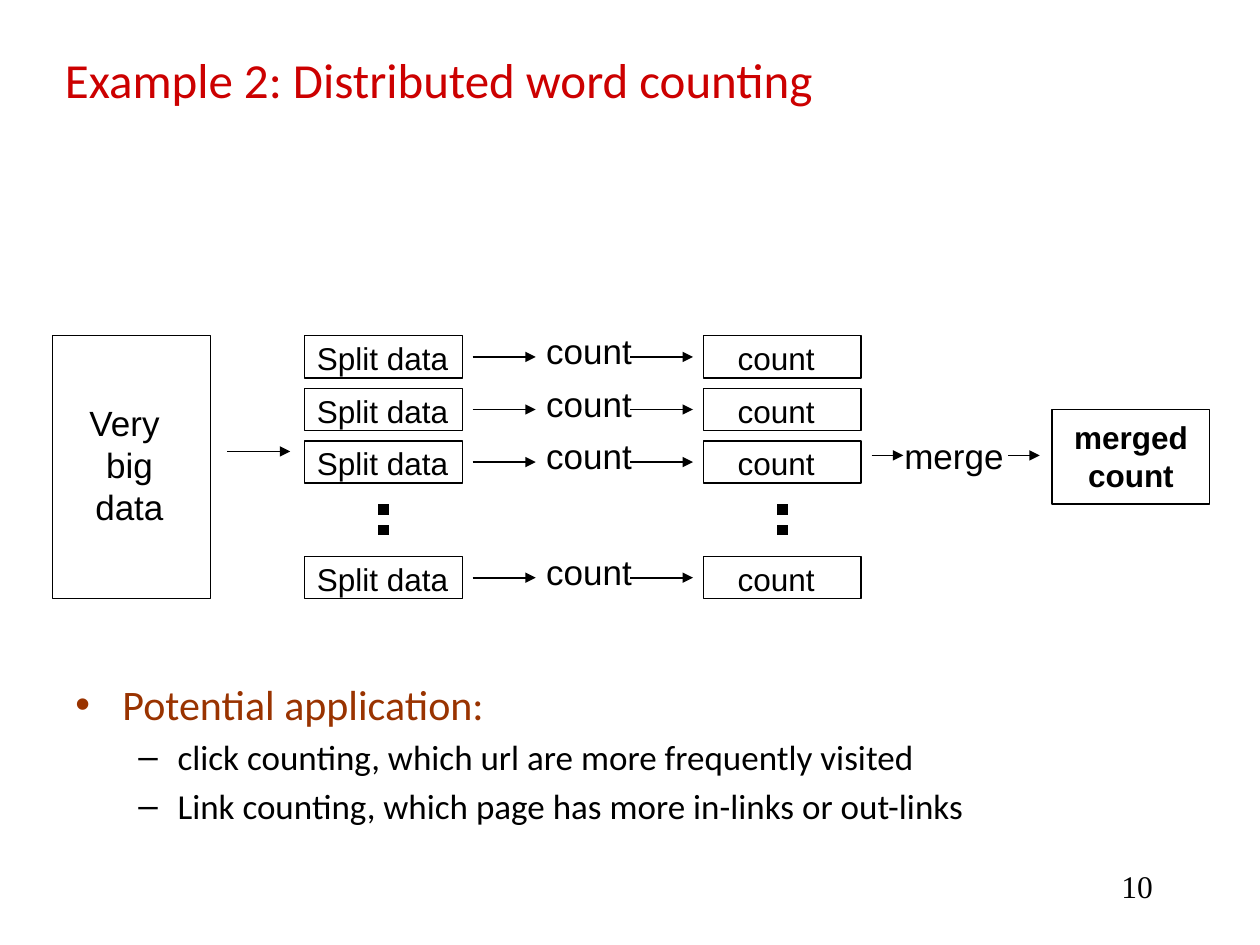
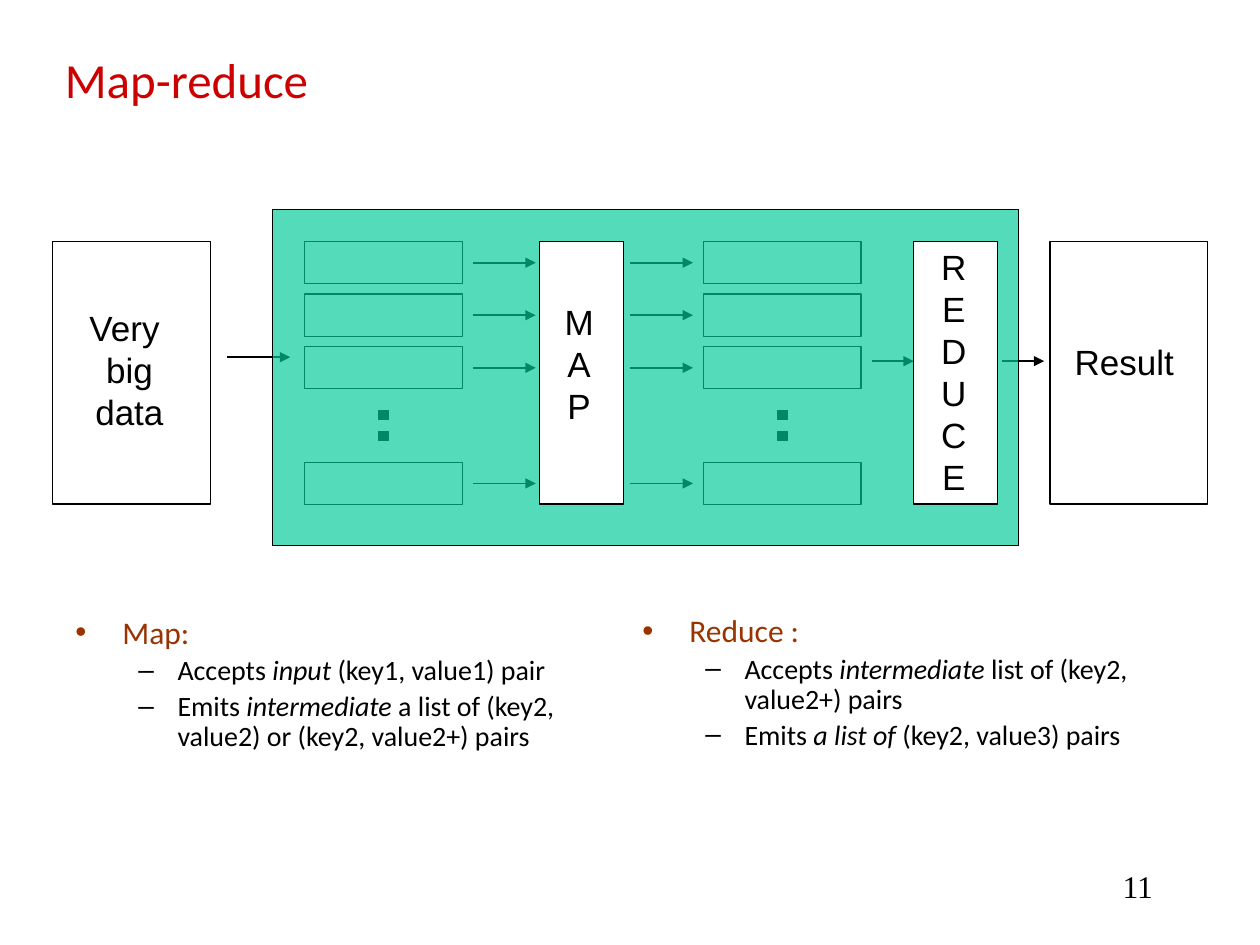
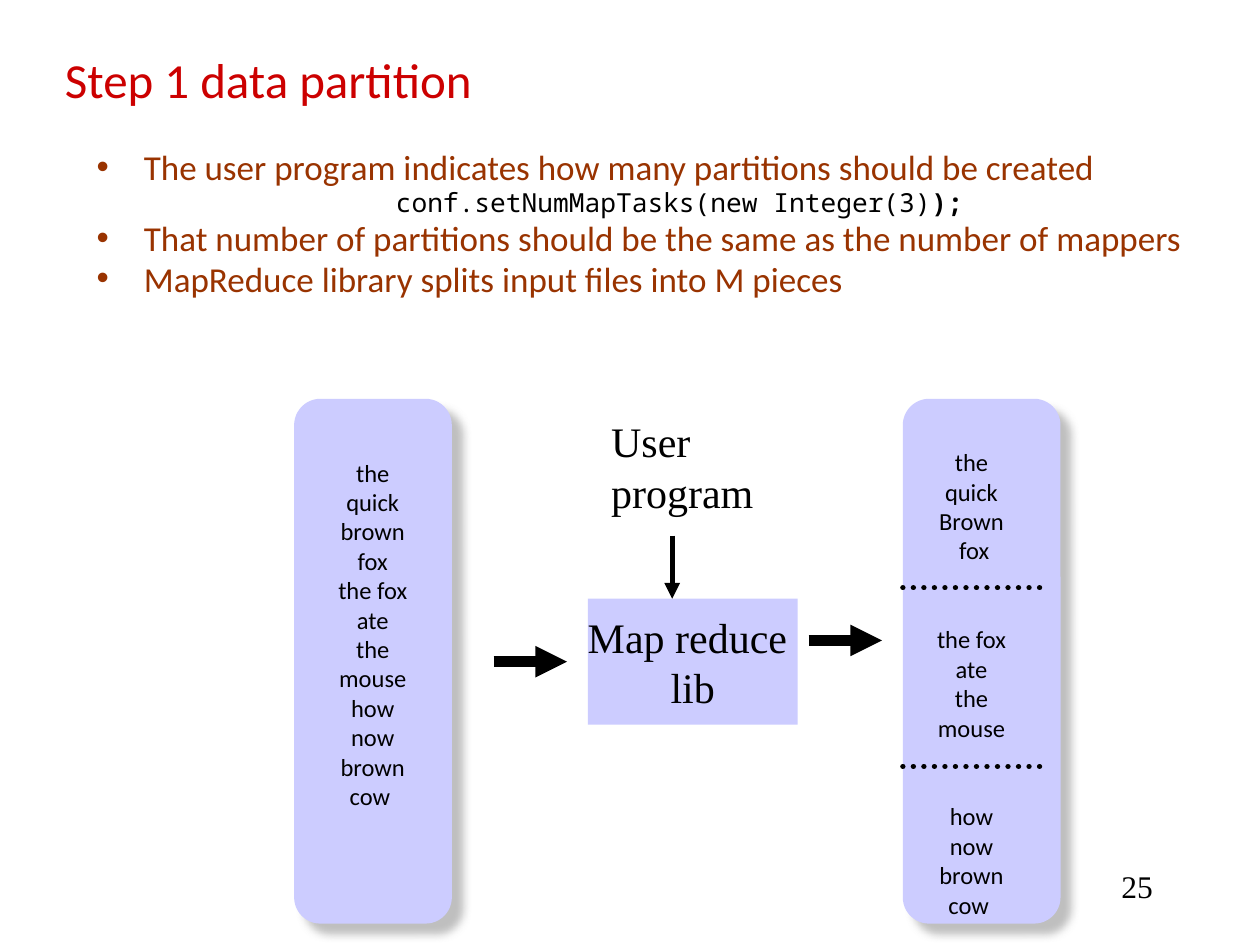
from lxml.etree import SubElement
from pptx import Presentation
from pptx.dml.color import RGBColor
from pptx.enum.dml import MSO_LINE
from pptx.enum.shapes import MSO_CONNECTOR, MSO_SHAPE
from pptx.enum.text import MSO_ANCHOR, PP_ALIGN
from pptx.oxml.ns import qn
from pptx.util import Cm, Pt

# Shared style
BLACK, WHITE = "000000", "FFFFFF"
RED, BROWN = "CC0000", "993300"
GREEN, LILAC, GREY = "00CC99", "CCCCFF", "808080"
SANS, BODY, SERIF, MONO = "Arial", "Calibri", "Times New Roman", "Noto Sans Mono"

# Data flow grid, in centimetres
BAR_WIDTH, BAR_HEIGHT = 3.18, 0.85
ROW_OFFSETS = (0, 1.06, 2.12, 4.45)
BLOCK_HEIGHT = 5.29
INPUT_LEFT, SPLIT_LEFT, COUNT_LEFT, MERGED_LEFT = 1.06, 6.14, 14.18, 21.21


def color(hex_value):
    return RGBColor.from_string(hex_value)


def set_font(font, name, size, hex_value=BLACK, bold=False):
    font.name = name
    font.size = Pt(size)
    font.bold = bold
    font.color.rgb = color(hex_value)


# Elements
def add_text(slide, text, left, top, width, height, size, font=SANS,
             hex_value=BLACK, align=PP_ALIGN.LEFT, bold=False, wrap=False,
             anchor=MSO_ANCHOR.TOP):
    box = slide.shapes.add_textbox(Cm(left), Cm(top), Cm(width), Cm(height))
    fill_text(box.text_frame, text, size, font, hex_value, align, bold, wrap, anchor)
    return box.text_frame


def fill_text(frame, text, size, font, hex_value=BLACK, align=PP_ALIGN.CENTER,
              bold=False, wrap=False, anchor=MSO_ANCHOR.MIDDLE):
    frame.word_wrap = wrap
    frame.vertical_anchor = anchor
    frame.text = text
    for paragraph in frame.paragraphs:
        paragraph.alignment = align
        set_font(paragraph.font, font, size, hex_value, bold)


def add_box(slide, left, top, width, height, fill=WHITE, line=BLACK,
            kind=MSO_SHAPE.RECTANGLE):
    shape = slide.shapes.add_shape(kind, Cm(left), Cm(top), Cm(width), Cm(height))
    shape.shadow.inherit = False
    shape.fill.solid()
    shape.fill.fore_color.rgb = color(fill)
    if line:
        shape.line.color.rgb = color(line)
        shape.line.width = Pt(0.75)
    else:
        shape.line.fill.background()
    return shape


def add_line(slide, start, end, width=1, arrow=True, round_dots=False):
    """Draw an arrow, or a dotted line when arrow is False."""
    connector = slide.shapes.add_connector(
        MSO_CONNECTOR.STRAIGHT, *(Cm(value) for value in (*start, *end)))
    connector.line.width = Pt(width)
    connector.line.color.rgb = color(BLACK)
    properties = connector._element.spPr
    line = properties.find(qn("a:ln"))
    if arrow:
        SubElement(line, qn("a:tailEnd"), type="triangle")
    else:
        connector.line.dash_style = MSO_LINE.ROUND_DOT
        if round_dots:
            line.set("cap", "rnd")
    SubElement(properties, qn("a:effectLst"))


def add_arrow(slide, left, y, length, width=1):
    add_line(slide, (left, y), (left + length, y), width)


def add_bullets(slide, items, left, top, width, height, sizes, spacing=1.0):
    """Write (level, text) items; text between asterisks is emphasised."""
    styles = {  # left margin, indent, bullet, font, colour
        "main": (0.95, -0.95, "•", BODY, BROWN),
        "sub": (2.06, -0.79, "–", BODY, BLACK),
        "code": (6.03, 0, None, MONO, BLACK),
    }
    box = slide.shapes.add_textbox(Cm(left), Cm(top), Cm(width), Cm(height))
    frame = box.text_frame
    frame.word_wrap = True
    for index, (level, text) in enumerate(items):
        margin, indent, bullet, font, hex_value = styles[level]
        paragraph = frame.paragraphs[0] if index == 0 else frame.add_paragraph()
        paragraph.level = 1 if level == "sub" else 0
        properties = paragraph._p.get_or_add_pPr()
        properties.set("marL", str(Cm(margin)))
        properties.set("indent", str(Cm(indent)))
        if bullet:
            SubElement(properties, qn("a:buFont"), typeface=SANS)
            SubElement(properties, qn("a:buChar"), char=bullet)
        paragraph.line_spacing = spacing
        if index:
            paragraph.space_before = Pt(sizes[level] * 0.2)
        for position, part in enumerate(text.split("*")):
            run = paragraph.add_run()
            run.text = part
            if position % 2:
                run.font.bold = level == "code"
                run.font.italic = level != "code"
        paragraph.font.name = font
        paragraph.font.size = Pt(sizes[level])
        paragraph.font.color.rgb = color(hex_value)


def add_slide(presentation, title, number):
    slide = presentation.slides.add_slide(presentation.slide_layouts[6])
    add_text(slide, number, 18.2, 17.36, 5.29, 1.27, 18, SERIF,
             align=PP_ALIGN.RIGHT, wrap=True)
    add_text(slide, title, 1.06, 1.06, 23.28, 1.06, 28, BODY, RED, wrap=True,
             anchor=MSO_ANCHOR.MIDDLE)
    return slide


# Data flow parts
def add_input(slide, top):
    add_box(slide, INPUT_LEFT, top, BAR_WIDTH, BLOCK_HEIGHT)
    add_text(slide, "Very \nbig\ndata", 1.53, top + 1.19, 2.16, 2.79, 20,
             align=PP_ALIGN.CENTER)
    add_arrow(slide, 4.58, top + 2.33, 1.27)


def add_flow(slide, top):
    """Stack the split and count bars and join them row by row."""
    for left in (SPLIT_LEFT, COUNT_LEFT):
        for offset in ROW_OFFSETS:
            add_box(slide, left, top + offset, BAR_WIDTH, BAR_HEIGHT)
        dots = left + BAR_WIDTH / 2
        add_line(slide, (dots, top + 3.39), (dots, top + 4.02), 6, arrow=False)
    for offset in ROW_OFFSETS:
        for left in (9.53, 12.7):
            add_arrow(slide, left, top + offset + BAR_HEIGHT / 2, 1.27)


def add_document(slide, left):
    shape = add_box(slide, left, 8.04, 3.18, 10.58, LILAC, None,
                    MSO_SHAPE.ROUNDED_RECTANGLE)
    effects = shape._element.spPr.find(qn("a:effectLst"))
    shadow = SubElement(effects, qn("a:outerShdw"), blurRad=str(Pt(5)),
                        dist=str(Pt(8.5)), dir="2700000", algn="ctr", rotWithShape="0")
    tint = SubElement(shadow, qn("a:srgbClr"), val=GREY)
    SubElement(tint, qn("a:alpha"), val="50000")


# Slides
def build_word_counting(presentation):
    slide = add_slide(presentation, "Example 2: Distributed word counting", "10")
    add_bullets(slide, [
        ("main", "Potential application:"),
        ("sub", "click counting, which url are more frequently visited"),
        ("sub", "Link counting, which page has more in-links or out-links"),
    ], 1.27, 13.55, 22.44, 3.39, {"main": 24, "sub": 20})

    top = 6.77
    add_input(slide, top)
    add_flow(slide, top)
    for offset in ROW_OFFSETS:
        row = top + offset
        add_text(slide, "Split data", SPLIT_LEFT, row - 0.06, 3.15, 1.02, 18)
        add_text(slide, "count", 10.76, row - 0.25, 2.24, 1.09, 20)
        add_text(slide, "count", 14.62, row - 0.06, 2.06, 1.02, 18)

    add_text(slide, "merge", 17.98, 8.64, 2.51, 1.09, 20)
    for left in (17.57, 20.32):
        add_arrow(slide, left, 9.18, 0.64)
    add_box(slide, MERGED_LEFT, 8.26, BAR_WIDTH, 1.9)
    add_text(slide, "merged\ncount", MERGED_LEFT, 8.31, BAR_WIDTH, 1.78, 18,
             align=PP_ALIGN.CENTER, bold=True)


def build_map_reduce(presentation):
    slide = add_slide(presentation, "Map-reduce", "11")
    sizes = {"main": 18, "sub": 16}
    add_bullets(slide, [
        ("main", "Map:"),
        ("sub", "Accepts *input* (key1, value1) pair"),
        ("sub", "Emits *intermediate* a list of (key2, value2) or (key2, value2+) pairs"),
    ], 1.27, 12.31, 11.43, 4.41, sizes, 0.9)
    add_bullets(slide, [
        ("main", "Reduce :"),
        ("sub", "Accepts *intermediate* list of (key2, value2+) pairs"),
        ("sub", "Emits *a list of* (key2, value3) pairs"),
    ], 12.7, 12.28, 11.64, 3.81, sizes, 0.9)

    top = 4.87
    add_input(slide, top)
    add_flow(slide, top)
    for left in (17.57, 20.2):
        add_arrow(slide, left, 7.28, 0.85)
    add_box(slide, 21.17, top, BAR_WIDTH, BLOCK_HEIGHT)

    # Translucent frame over the flow, with the two stages on top
    frame = add_box(slide, 5.5, 4.23, 15.03, 6.77, GREEN)
    tint = frame._element.spPr.find(qn("a:solidFill"))[0]
    SubElement(tint, qn("a:alpha"), val="67000")
    for left in (10.88, 18.42):
        add_box(slide, left, top, 1.69, BLOCK_HEIGHT)
    for text, left, label_top, width, height in (
            ("Result", 21.41, 6.73, 2.51, 1.09),
            ("M\nA\nP", 11.13, 5.93, 1.09, 2.79),
            ("R\nE\nD\nU\nC\nE", 18.72, 4.82, 1.02, 5.33)):
        add_text(slide, text, left, label_top, width, height, 20,
                 align=PP_ALIGN.CENTER)


def build_data_partition(presentation):
    slide = add_slide(presentation, "Step 1 data partition", "25")
    add_bullets(slide, [
        ("main", "The user program indicates how many partitions should be created"),
        ("code", "conf.setNumMapTasks(new Integer(3)*);*"),
        ("main", "That number of partitions should be the same as the number of mappers"),
        ("main", "MapReduce library splits input files into M pieces"),
    ], 1.7, 2.97, 22.65, 4.02, {"main": 20, "code": 15}, 0.8)

    # Partitioned and whole documents
    add_document(slide, 18.2)
    partitions = add_text(
        slide, "the quick\nBrown\n fox\nthe fox ate\nthe mouse\nhow now\nbrown cow ",
        18.42, 8.89, 2.33, 9.7, 14, BODY, align=PP_ALIGN.CENTER, wrap=True)
    for first_line in (3, 5):
        partitions.paragraphs[first_line].space_before = Pt(34)
    for y in (11.85, 15.45):
        add_line(slide, (18.2, y), (21.1, y), 3, arrow=False, round_dots=True)
    add_document(slide, 5.93)
    add_text(slide, "the quick\nbrown fox\nthe fox ate\nthe mouse\nhow now\nbrown cow ",
             6.35, 9.1, 2.33, 7.34, 14, BODY, align=PP_ALIGN.CENTER, wrap=True)

    # Library and its caller
    add_arrow(slide, 9.95, 13.34, 1.48, 6)
    add_arrow(slide, 16.3, 12.91, 1.48, 6)
    library = add_box(slide, 11.85, 12.07, 4.23, 2.54, LILAC, None)
    fill_text(library.text_frame, "Map reduce \nlib", 24, SERIF)
    add_text(slide, "User program", 12.07, 8.26, 4.02, 2.29, 24, SERIF, wrap=True)
    add_line(slide, (13.55, 10.8), (13.55, 12.07), 3)


def main():
    presentation = Presentation()
    presentation.slide_width = Cm(25.4)
    presentation.slide_height = Cm(19.05)
    build_word_counting(presentation)
    build_map_reduce(presentation)
    build_data_partition(presentation)
    presentation.save("out.pptx")


if __name__ == "__main__":
    main()
